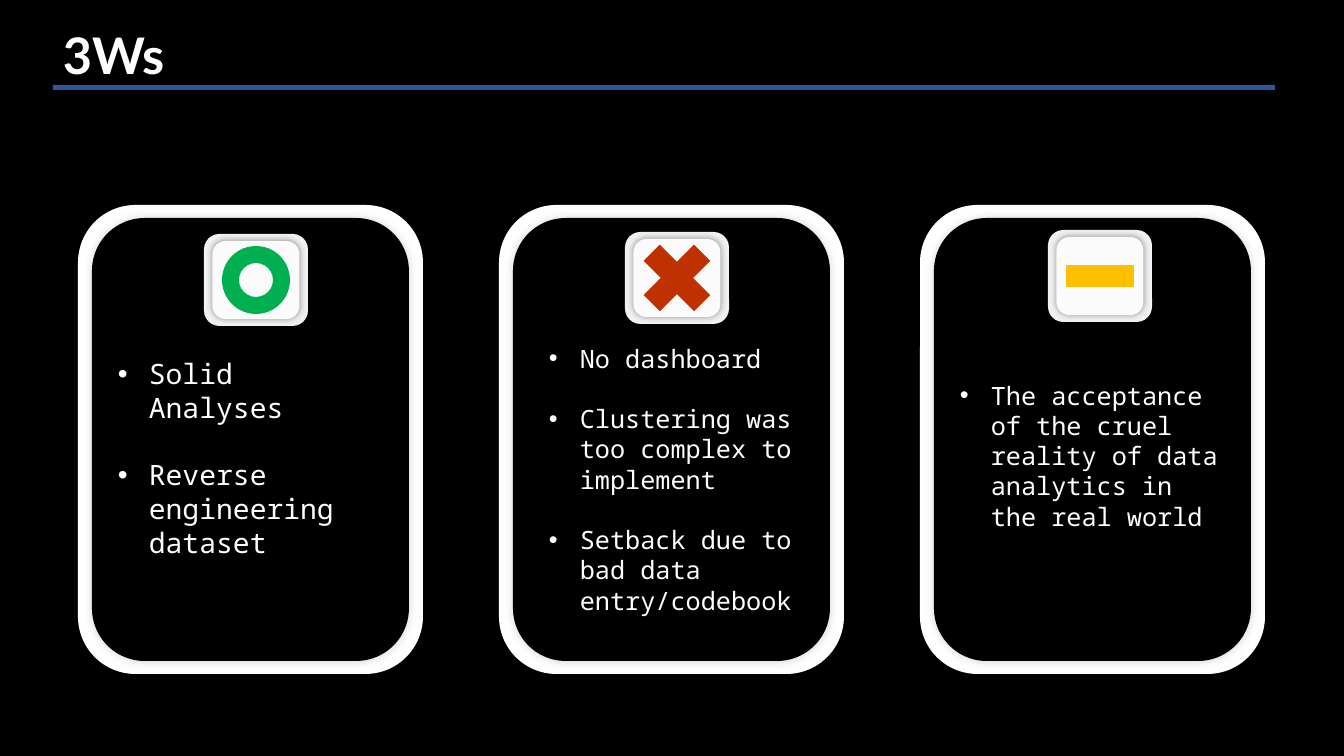
from lxml.etree import SubElement
from pptx import Presentation
from pptx.dml.color import RGBColor
from pptx.enum.shapes import MSO_SHAPE
from pptx.oxml.ns import qn
from pptx.util import Emu, Pt

WHITE = RGBColor(0xFF, 0xFF, 0xFF)
BLACK = RGBColor(0x00, 0x00, 0x00)
BLUE = RGBColor(0x2F, 0x55, 0x97)
KEY_EDGE = RGBColor(0xF2, 0xF2, 0xF2)
KEY_FACE = RGBColor(0xFB, 0xFB, 0xFB)
GREEN = RGBColor(0x00, 0xB0, 0x50)
RED = RGBColor(0xBF, 0x31, 0x00)
AMBER = RGBColor(0xFF, 0xC0, 0x00)

# Content
TITLE = "3Ws"
CARDS = [
    {"items": ["Solid Analyses", "Reverse engineering dataset"],
     "points": 20, "text_at": (108, 352), "key_at": (204, 234),
     "mark": (MSO_SHAPE.DONUT, 68, GREEN)},
    {"items": ["No dashboard", "Clustering was too complex to implement",
               "Setback due to bad data entry/codebook"],
     "points": 18, "text_at": (539, 338), "key_at": (625, 232),
     "mark": (MSO_SHAPE.MATH_MULTIPLY, 97, RED)},
    {"items": ["The acceptance of the cruel reality of data analytics in the real world"],
     "points": 18, "text_at": (950, 375), "key_at": (1048, 230),
     "mark": (MSO_SHAPE.MATH_MINUS, 92, AMBER)},
]

# Layout in px
PX = 914400 / 100.8
CARD_LEFT, CARD_TOP, CARD_PITCH = 78, 205, 421
CARD_SIZE, PANEL_SIZE = (345, 469), (317, 443)
KEY_SIZE, FACE_SIZE = (104, 92), (87, 78)
TEXT_WIDTH, INDENT = 282, 31
LINE_SPACING = 1.2


def px(length):
    return Emu(round(length * PX))


def add_block(kind, left, top, width, height, color):
    shape = slide.shapes.add_shape(kind, px(left), px(top), px(width), px(height))
    shape.shadow.inherit = False
    shape.fill.solid()
    shape.fill.fore_color.rgb = color
    shape.line.fill.background()
    return shape


def add_centred(kind, center, size, color):
    left, top = (middle - length / 2 for middle, length in zip(center, size))
    return add_block(kind, left, top, *size, color)


def add_shadow(shape, blur, opacity):
    effects = shape._element.spPr.find(qn("a:effectLst"))
    shadow = SubElement(effects, qn("a:outerShdw"), blurRad=str(Pt(blur)),
                        algn="ctr", rotWithShape="0")
    color = SubElement(shadow, qn("a:srgbClr"), val=str(BLACK))
    SubElement(color, qn("a:alpha"), val=str(opacity * 1000))


def add_text(lines, left, top, width, height, font_name, points, bold=False):
    box = slide.shapes.add_textbox(px(left), px(top), px(width), px(height))
    frame = box.text_frame
    frame.word_wrap = True
    frame.text = "\n".join(lines)
    for paragraph in frame.paragraphs:
        font = paragraph.runs[0].font
        font.name, font.size, font.bold = font_name, Pt(points), bold
        font.color.rgb = WHITE
    return frame.paragraphs


def add_bullets(paragraphs, gap):
    for paragraph in paragraphs:
        if paragraph is not paragraphs[-1]:
            paragraph.space_after = Pt(gap)
        properties = paragraph._p.get_or_add_pPr()
        properties.set("marL", str(px(INDENT)))
        properties.set("indent", str(-px(INDENT)))
        SubElement(properties, qn("a:buFont"), typeface="Arial")
        SubElement(properties, qn("a:buChar"), char="•")


presentation = Presentation()
presentation.slide_width, presentation.slide_height = px(1344), px(756)
slide = presentation.slides.add_slide(presentation.slide_layouts[6])
slide.background.fill.solid()
slide.background.fill.fore_color.rgb = BLACK

# Title and rule
add_text([TITLE], 53, 19, 1222, 72, "Lato", 36, bold=True)
add_block(MSO_SHAPE.RECTANGLE, 53, 85, 1222, 5, BLUE)

for index, card in enumerate(CARDS):
    # Card: white frame around a black panel
    center = (CARD_LEFT + index * CARD_PITCH + CARD_SIZE[0] / 2,
              CARD_TOP + CARD_SIZE[1] / 2)
    add_centred(MSO_SHAPE.ROUNDED_RECTANGLE, center, CARD_SIZE, WHITE)
    panel = add_centred(MSO_SHAPE.ROUNDED_RECTANGLE, center, PANEL_SIZE, BLACK)
    add_shadow(panel, 7, 16)

    # Key with its mark
    key_center = [start + length / 2 for start, length in zip(card["key_at"], KEY_SIZE)]
    add_centred(MSO_SHAPE.ROUNDED_RECTANGLE, key_center, KEY_SIZE, KEY_EDGE)
    face = add_centred(MSO_SHAPE.ROUNDED_RECTANGLE, key_center, FACE_SIZE, KEY_FACE)
    add_shadow(face, 5, 40)
    kind, side, color = card["mark"]
    add_centred(kind, key_center, (side, side), color)

    # Bulleted text
    paragraphs = add_text(card["items"], *card["text_at"], TEXT_WIDTH, 285,
                          "Noto Sans Mono", card["points"])
    add_bullets(paragraphs, card["points"] * LINE_SPACING)

presentation.save("out.pptx")
